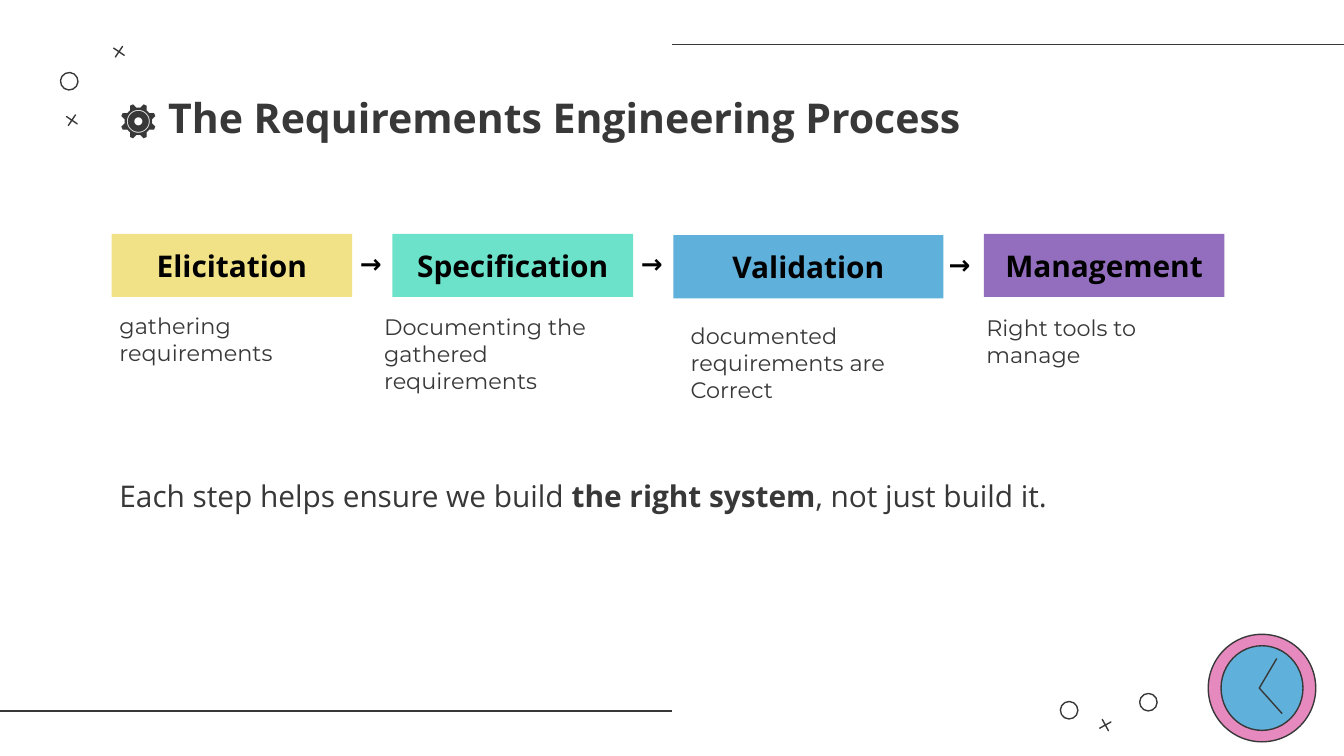
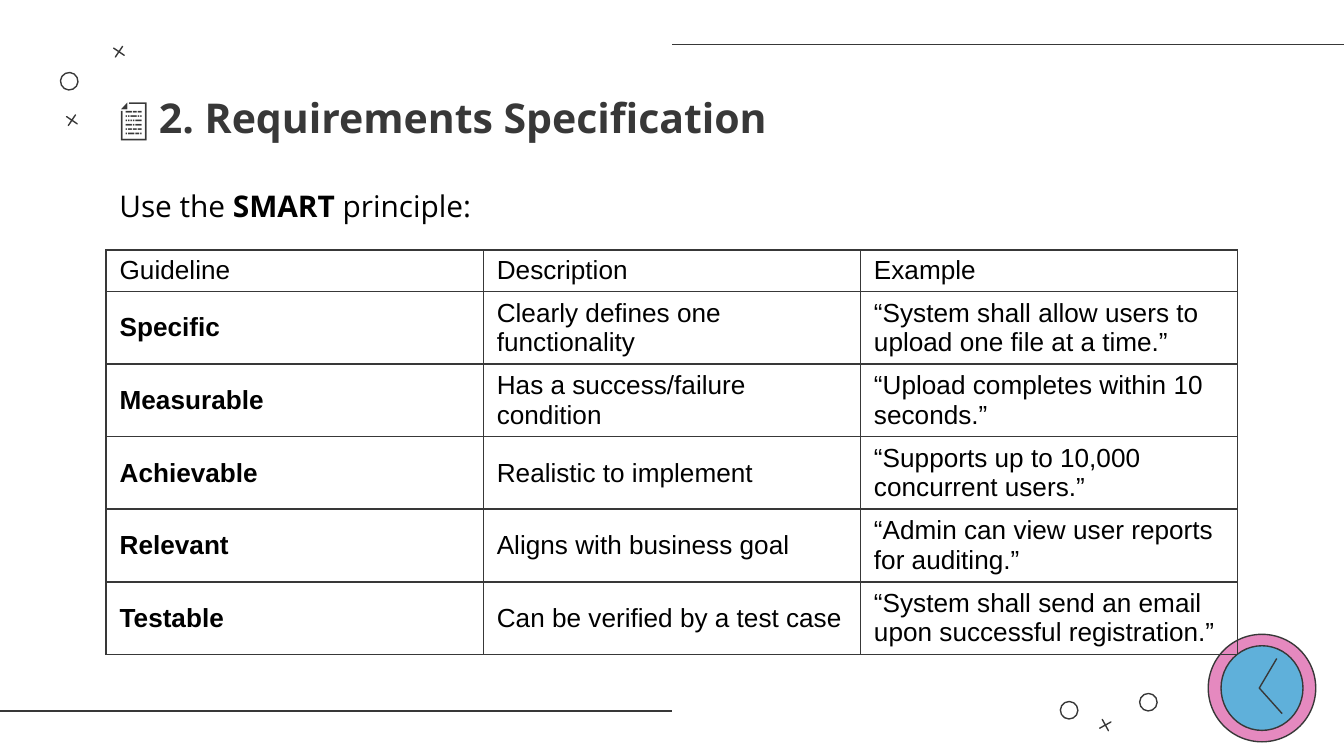
"""Build two slides on requirements engineering."""
from lxml import etree
from pptx import Presentation
from pptx.dml.color import RGBColor
from pptx.enum import shapes, text
from pptx.oxml import ns
from pptx.util import Inches, Pt

INK, BLACK, PINK, BLUE = "383838", "000000", "E589BF", "5FB0DA"
HEAD, BODY, GRID = "Open Sans", "Montserrat", "Arial"
SHAPE = shapes.MSO_SHAPE
MARKS = [
    (0.45, 0.54, SHAPE.OVAL, 34.1),
    (0.47, 0.83, SHAPE.MATH_PLUS, 34.1),
    (0.82, 0.32, SHAPE.MATH_PLUS, 34.1),
    (7.89, 5.22, SHAPE.OVAL, 331.3),
    (8.16, 5.33, SHAPE.MATH_PLUS, 331.3),
    (8.48, 5.16, SHAPE.OVAL, 331.3),
]
STEPS = [
    ("Elicitation", "F1E287", (0.83, 1.74, 1.79, 0.47),
     "gathering requirements", (-0.04, 0.48, 1.79, 0.74)),
    ("Specification", "6CE2CB", (2.92, 1.74, 1.79, 0.47),
     "Documenting the gathered requirements", (-0.16, 0.49, 2.1, 0.84)),
    ("Validation", BLUE, (5.01, 1.75, 2.01, 0.47),
     "documented requirements are Correct", (0.03, 0.55, 2.01, 0.76)),
    ("Management", "946EBE", (7.32, 1.74, 1.79, 0.47),
     "Right tools to manage", (-0.08, 0.5, 2.01, 0.76)),
]
ARROWS = [(2.58, 1.79), (4.67, 1.79), (6.96, 1.8)]
SMART = [
    ("Guideline", "Description", "Example"),
    ("Specific", "Clearly defines one functionality",
     "“System shall allow users to upload one file at a time.”"),
    ("Measurable", "Has a success/failure condition",
     "“Upload completes within 10 seconds.”"),
    ("Achievable", "Realistic to implement",
     "“Supports up to 10,000 concurrent users.”"),
    ("Relevant", "Aligns with business goal",
     "“Admin can view user reports for auditing.”"),
    ("Testable", "Can be verified by a test case",
     "“System shall send an email upon successful registration.”"),
]


def color(hue):
    """Turn a hex string into a colour."""
    return RGBColor.from_string(hue)


def inch(box):
    """Turn a box of numbers into lengths."""
    return [Inches(n) for n in box]


def style(run, size, face, hue, bold=False):
    """Set the font of a run."""
    font = run.font
    font.size, font.name, font.bold = Pt(size), face, bold
    font.color.rgb = color(hue)


def paint(shape, fill=None, line=INK):
    """Set the fill and outline of a shape."""
    shape.shadow.inherit = False
    if fill:
        shape.fill.solid()
        shape.fill.fore_color.rgb = color(fill)
    else:
        shape.fill.background()
    if line:
        shape.line.color.rgb = color(line)
        shape.line.width = Pt(0.75)
    else:
        shape.line.fill.background()


def pad(frame, edge):
    """Set the top and bottom margins of a frame; the sides keep 0.1."""
    frame.margin_left = frame.margin_right = Inches(0.1)
    frame.margin_top = frame.margin_bottom = Inches(edge)


def label(slide, box, parts, size, face, hue, edge=0.1, wrap=True):
    """Add a text box from (words, bold) parts."""
    frame = slide.shapes.add_textbox(*inch(box)).text_frame
    frame.word_wrap = wrap
    pad(frame, edge)
    for words, bold in parts:
        run = frame.paragraphs[0].add_run()
        run.text = words
        style(run, size, face, hue, bold)
    return frame


def rule(slide, left, top, width):
    """Draw a level line."""
    line = slide.shapes.add_connector(
        shapes.MSO_CONNECTOR.STRAIGHT, *inch((left, top, left + width, top)))
    line.line.color.rgb = color(INK)
    line.line.width = Pt(0.75)
    etree.SubElement(line._element.spPr, ns.qn("a:effectLst"))


def clock(slide, left, top, size):
    """Draw the clock in a square."""
    mid = left + size / 2
    for fill, wide, high in ((PINK, size, size), (BLUE, 0.61, 0.63)):
        box = (mid - wide / 2, top + (size - high) / 2, wide, high)
        paint(slide.shapes.add_shape(SHAPE.OVAL, *inch(box)), fill)
    tip, hub, end = [inch((left + x, top + y)) for x, y in
                     ((0.51, 0.18), (0.38, 0.4), (0.55, 0.59))]
    hands = slide.shapes.build_freeform(*tip)
    hands.add_line_segments([hub, end], close=False)
    paint(hands.convert_to_shape())


def base(deck, title):
    """Add a slide with the shared frame and title."""
    slide = deck.slides.add_slide(deck.slide_layouts[6])
    rule(slide, 5, 0.33, 5)
    rule(slide, 0, 5.29, 5)
    for left, top, kind, turn in MARKS:
        mark = slide.shapes.add_shape(kind, *inch((left, top, 0.13, 0.13)))
        paint(mark)
        mark.rotation = turn
        if kind == SHAPE.MATH_PLUS:
            mark.adjustments[0] = 0
    label(slide, (0.79, 0.59, 9.12, 0.63), [(title, True)], 22, HEAD, INK)
    clock(slide, 8.99, 4.72, 0.8)
    return slide


def step(slide, box, name, fill, note, spot):
    """Add a step bar with a note placed relative to it."""
    bar = slide.shapes.add_shape(SHAPE.RECTANGLE, *inch(box))
    paint(bar, fill, None)
    frame = bar.text_frame
    pad(frame, 0.1)
    frame.vertical_anchor = text.MSO_ANCHOR.BOTTOM
    frame.text = name
    para = frame.paragraphs[0]
    para.alignment = text.PP_ALIGN.CENTER
    style(para.runs[0], 16, HEAD, BLACK, True)
    x, y, wide, high = spot
    label(slide, (box[0] + x, box[1] + y, wide, high),
          [(note, False)], 12, BODY, INK)


def border(cell):
    """Draw the four borders of a cell."""
    props = cell._tc.get_or_add_tcPr()
    for spot, side in enumerate(("lnL", "lnR", "lnT", "lnB")):
        line = etree.Element(ns.qn("a:" + side), w=str(Pt(1)))
        fill = etree.SubElement(line, ns.qn("a:solidFill"))
        etree.SubElement(fill, ns.qn("a:srgbClr"), val=INK)
        props.insert(spot, line)


def grid(slide, box, rows):
    """Add a bordered table with bold row names."""
    table = slide.shapes.add_table(len(rows), len(rows[0]), *inch(box)).table
    table.first_row = table.horz_banding = False
    for r, row in enumerate(rows):
        table.rows[r].height = Inches(0.54 if r else 0.31)
        for c, words in enumerate(row):
            cell = table.cell(r, c)
            cell.text = words
            cell.vertical_anchor = text.MSO_ANCHOR.MIDDLE
            cell.margin_top = cell.margin_bottom = Pt(2.5)
            cell.fill.background()
            border(cell)
            style(cell.text_frame.paragraphs[0].runs[0],
                  14, GRID, BLACK, r > 0 and c == 0)


def process(deck):
    """Build the process slide."""
    slide = base(deck, "⚙️ The Requirements Engineering Process")
    for name, fill, box, note, spot in STEPS:
        step(slide, box, name, fill, note, spot)
    for left, top in ARROWS:
        label(slide, (left, top, 0.34, 0.34), [("→", True)],
              14, HEAD, BLACK, 0.05)
    parts = [("Each step helps ensure we build ", False),
             ("the right system", True), (", not just build it.", False)]
    frame = label(slide, (0.79, 3.5, 7.39, 0.37), parts,
                  16, HEAD, INK, 0.05, False)
    frame.vertical_anchor = text.MSO_ANCHOR.MIDDLE


def smart(deck):
    """Build the specification slide."""
    slide = base(deck, "📄 2. Requirements Specification")
    grid(slide, (0.79, 1.86, 8.42, 3.01), SMART)
    parts = [("Use the ", False), ("SMART", True), (" principle:", False)]
    label(slide, (0.79, 1.35, 5, 0.37), parts, 16, HEAD, BLACK, 0.05)


def main():
    """Build and save the deck."""
    deck = Presentation()
    deck.slide_width = Inches(10)
    deck.slide_height = deck.slide_width * 9 // 16
    process(deck)
    smart(deck)
    deck.save("out.pptx")


if __name__ == "__main__":
    main()
